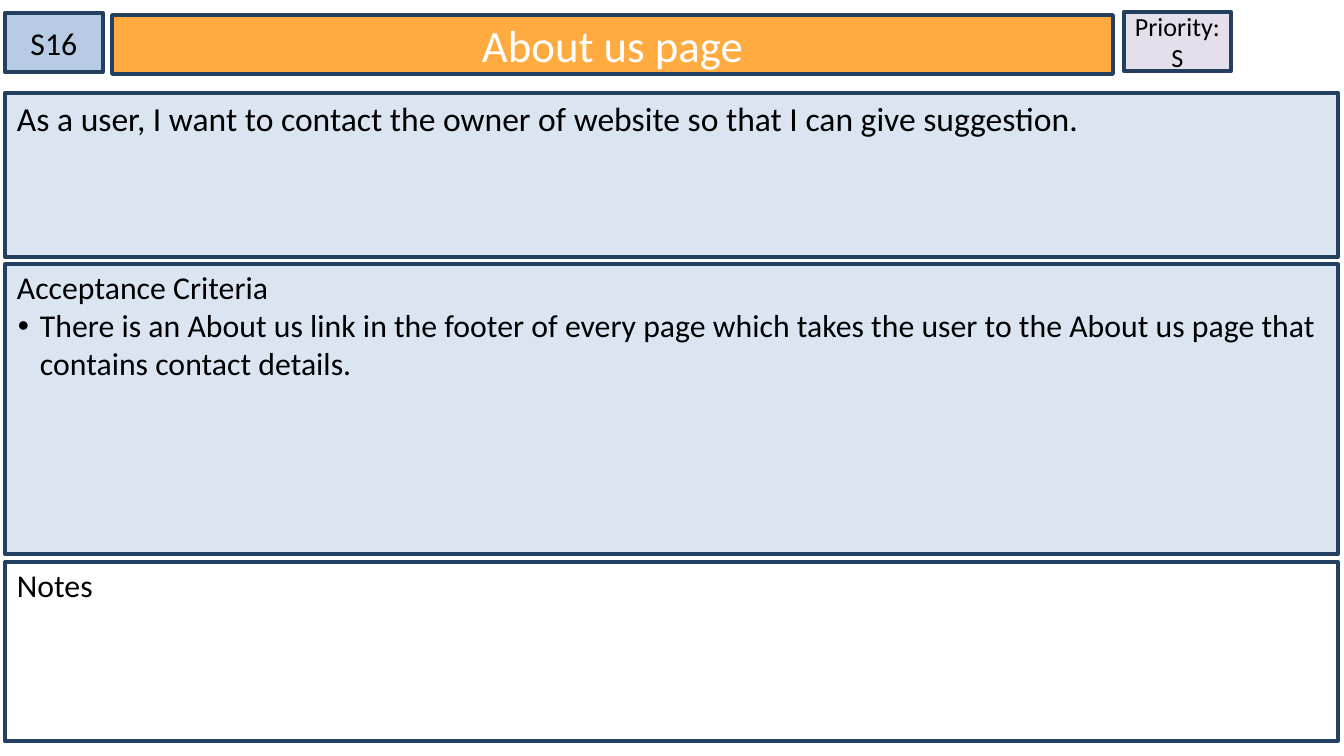
from pptx import Presentation
from pptx.dml.color import RGBColor
from pptx.enum.shapes import MSO_SHAPE
from pptx.enum.text import MSO_ANCHOR, PP_ALIGN
from pptx.oxml.ns import qn
from pptx.util import Pt
from lxml.etree import SubElement

PX = 9144000 / 1344
COLORS = {
    "border": "244061",
    "title": "FFAB40",
    "priority": "E5DFEC",
    "number": "B7CCE4",
    "panel": "DAE5F1",
    "white": "FFFFFF",
    "black": "000000",
}


def emu(px):
    return round(px * PX)


def color(name):
    return RGBColor.from_string(COLORS[name])


class StoryCard:
    font = "Calibri"
    border_width = Pt(2)
    panel_left = 5
    panel_width = 1333

    def __init__(self, page):
        self.page = page

    def box(self, left, top, width, height, fill, lines, size,
            ink="black", side_inset=0, top_inset=5):
        """Draw a bordered rectangle with its text centred both ways."""
        box = self.page.shapes.add_shape(
            MSO_SHAPE.RECTANGLE, *map(emu, (left, top, width, height)))
        box.shadow.inherit = False
        box.fill.solid()
        box.fill.fore_color.rgb = color(fill)
        box.line.color.rgb = color("border")
        box.line.width = self.border_width
        frame = box.text_frame
        frame.word_wrap = True
        frame.vertical_anchor = MSO_ANCHOR.MIDDLE
        frame.margin_left = frame.margin_right = emu(side_inset)
        frame.margin_top, frame.margin_bottom = emu(top_inset), emu(5)
        frame.text = "\n".join(lines)
        for para in frame.paragraphs:
            para.alignment = PP_ALIGN.CENTER
            for span in para.runs:
                span.font.name = self.font
                span.font.size = Pt(size)
                span.font.color.rgb = color(ink)
        return box

    def panel(self, top, height, fill, lines, size, top_inset=4):
        """Draw a full-width box; every line after the first is a bullet."""
        box = self.box(self.panel_left, top, self.panel_width, height, fill,
                       lines, size, side_inset=12, top_inset=top_inset)
        box.text_frame.vertical_anchor = MSO_ANCHOR.TOP
        for index, para in enumerate(box.text_frame.paragraphs):
            para.alignment = PP_ALIGN.LEFT
            if index:
                self.bullet(para)

    def bullet(self, para):
        properties = para._p.get_or_add_pPr()
        properties.set("marL", str(emu(23)))
        properties.set("indent", str(-emu(22)))
        tint = SubElement(properties, qn("a:buClr"))
        SubElement(tint, qn("a:srgbClr"), val=COLORS["black"])
        SubElement(properties, qn("a:buFont"), typeface="Arial")
        SubElement(properties, qn("a:buChar"), char="•")


def main():
    deck = Presentation()
    deck.slide_width, deck.slide_height = emu(1344), emu(756)
    card = StoryCard(deck.slides.add_slide(deck.slide_layouts[6]))

    card.box(112, 15, 1001, 59, "title", ["About us page"], 24,
             ink="white", side_inset=12)
    card.box(1124, 12, 107, 59, "priority", ["Priority:", "S"], 14)
    card.box(5, 13, 98, 59, "number", ["S16"], 17)

    card.panel(93, 164, "panel", [
        "As a user, I want to contact the owner of website "
        "so that I can give suggestion.",
    ], 18, top_inset=5)
    card.panel(264, 290, "panel", [
        "Acceptance Criteria",
        "There is an About us link in the footer of every page which takes "
        "the user to the About us page that contains contact details.",
    ], 17)
    card.panel(562, 179, "white", ["Notes"], 17)

    deck.save("out.pptx")


if __name__ == "__main__":
    main()
